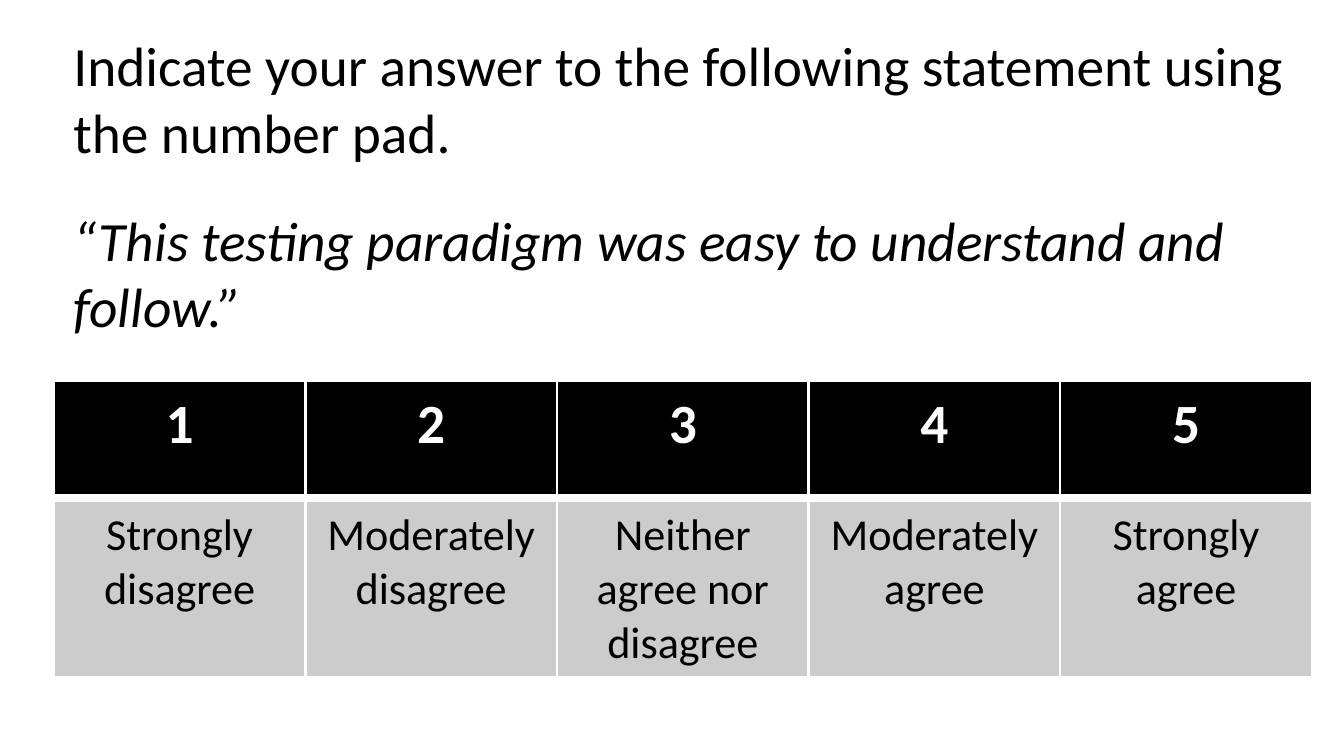
"""Build a survey slide: a statement to rate and its five-point answer scale."""
from lxml import etree
from pptx import Presentation
from pptx.dml.color import RGBColor
from pptx.enum.text import MSO_AUTO_SIZE, PP_ALIGN
from pptx.oxml.ns import qn
from pptx.util import Inches, Pt

CENTER = PP_ALIGN.CENTER
FIT_SHAPE = MSO_AUTO_SIZE.SHAPE_TO_FIT_TEXT
FONT = "Calibri"
COLORS = {"black": "000000", "white": "FFFFFF", "gray": "CCCCCC"}
LEFT, WIDTH = Inches(0.27), Inches(6.32)


def add_run(p, text, size, color, bold=False, italic=False):
    r = p.add_run()
    r.text = text
    r.font.name = FONT
    r.font.size = Pt(size)
    r.font.bold = bold
    r.font.italic = italic
    r.font.color.rgb = RGBColor.from_string(COLORS[color])


def add_border(cell, side, points):
    ln = etree.SubElement(cell._tc.get_or_add_tcPr(), qn(f"a:ln{side}"), w=str(Pt(points)))
    fill = etree.SubElement(ln, qn("a:solidFill"))
    etree.SubElement(fill, qn("a:srgbClr"), val=COLORS["white"])


prs = Presentation()
prs.slide_width, prs.slide_height = Inches(6.75), Inches(3.75)
s = prs.slides.add_slide(prs.slide_layouts[6])

tf = s.shapes.add_textbox(LEFT, Inches(0.11), WIDTH, Inches(1.66)).text_frame
tf.word_wrap = True
tf.auto_size = FIT_SHAPE
add_run(tf.paragraphs[0], "Indicate your answer to the following statement using the number pad.", 20, "black")
p = tf.add_paragraph()
p.space_before = Pt(15)
add_run(p, "“This testing paradigm was easy to understand and follow.”", 20, "black", italic=True)

answers = ["Strongly disagree", "Moderately disagree", "Neither agree nor disagree",
           "Moderately agree", "Strongly agree"]
rows = [
    {"texts": [str(n + 1) for n in range(len(answers))], "height": 0.59, "size": 20,
     "color": "white", "bold": True, "fill": "black", "top": 1, "bottom": 3},
    {"texts": answers, "height": 0.9, "size": 16,
     "color": "black", "bold": False, "fill": "gray", "top": 3, "bottom": 1},
]
table = s.shapes.add_table(len(rows), len(answers), LEFT, Inches(1.91), WIDTH, Inches(1.49)).table
for i, row in enumerate(rows):
    table.rows[i].height = Inches(row["height"])
    for j, text in enumerate(row["texts"]):
        cell = table.cell(i, j)
        for side, points in (("L", 1), ("R", 1), ("T", row["top"]), ("B", row["bottom"])):
            add_border(cell, side, points)
        cell.fill.solid()
        cell.fill.fore_color.rgb = RGBColor.from_string(COLORS[row["fill"]])
        p = cell.text_frame.paragraphs[0]
        p.alignment = CENTER
        add_run(p, text, row["size"], row["color"], bold=row["bold"])

prs.save("out.pptx")
